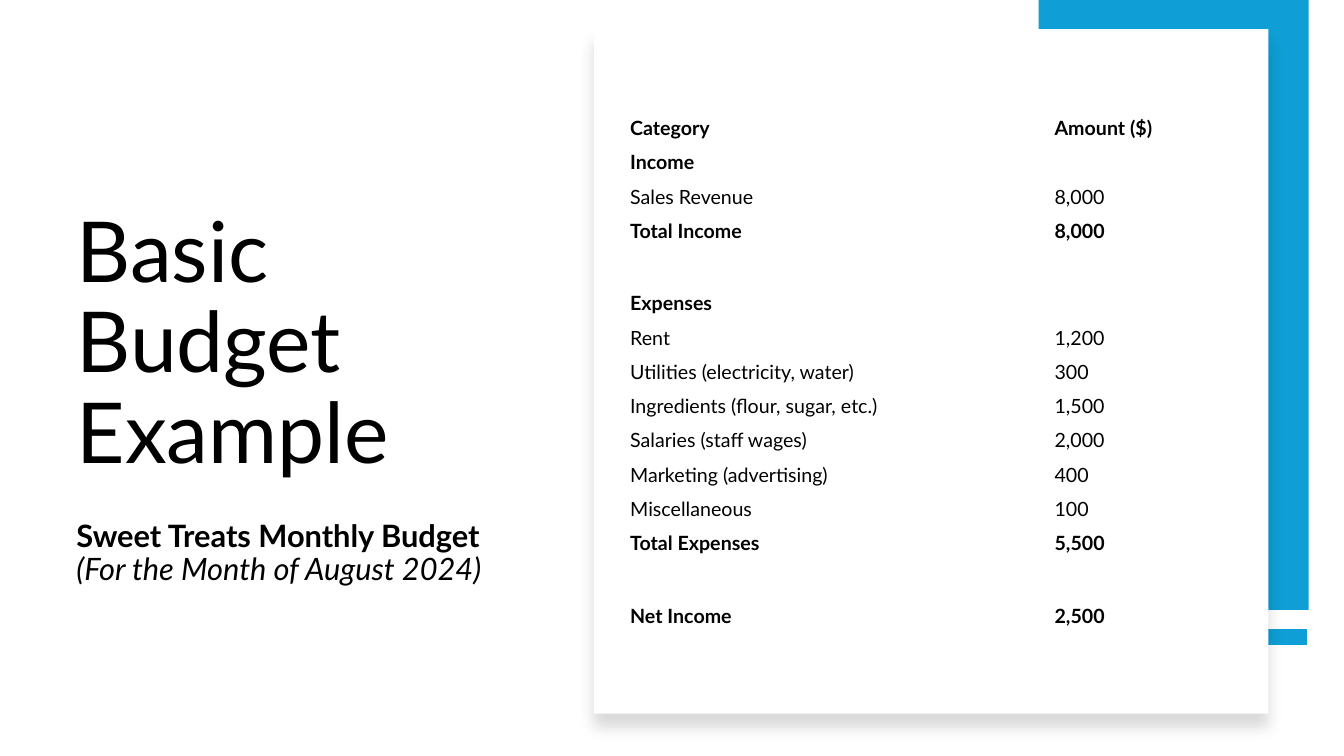
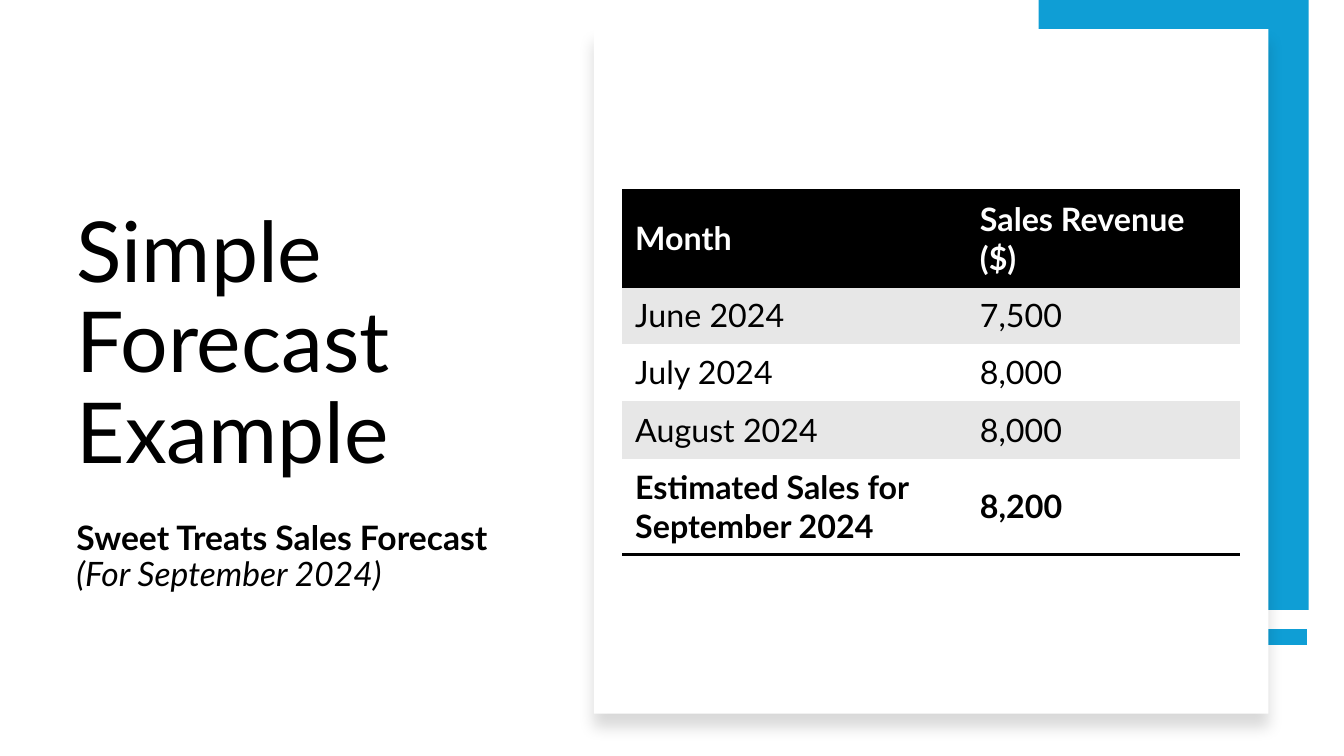
from lxml import etree
from pptx import Presentation
from pptx.dml.color import RGBColor
from pptx.enum.shapes import MSO_CONNECTOR, MSO_SHAPE
from pptx.enum.text import MSO_ANCHOR, MSO_AUTO_SIZE, PP_ALIGN
from pptx.oxml import parse_xml
from pptx.oxml.ns import nsdecls, qn
from pptx.util import Pt

PX = 9144
FONT = "Lato"
BLACK, WHITE, BLUE, GREY = "000000", "FFFFFF", "0F9ED5", "E7E7E7"
NO_STYLE = "{2D5ABB26-0587-4C30-8999-92F81FD0307C}"
SHADOW = (
    f'<a:effectLst {nsdecls("a")}><a:outerShdw blurRad="139700" dist="127000" dir="5400000" '
    f'algn="t" rotWithShape="0"><a:srgbClr val="{BLACK}"><a:alpha val="15000"/></a:srgbClr>'
    '</a:outerShdw></a:effectLst>'
)


def rgb(color):
    return RGBColor.from_string(color)


def style(p, size, color=BLACK, bold=None):
    p.font.name = FONT
    p.font.size = Pt(size)
    p.font.color.rgb = rgb(color)
    p.font.bold = bold


budget = [
    ("Category", "Amount ($)"),
    ("Income", ""),
    ("Sales Revenue", "8,000"),
    ("Total Income", "8,000"),
    ("", ""),
    ("Expenses", ""),
    ("Rent", "1,200"),
    ("Utilities (electricity, water)", "300"),
    ("Ingredients (flour, sugar, etc.)", "1,500"),
    ("Salaries (staff wages)", "2,000"),
    ("Marketing (advertising)", "400"),
    ("Miscellaneous", "100"),
    ("Total Expenses", "5,500"),
    ("", ""),
    ("Net Income", "2,500"),
]
forecast = [
    ("Month", "Sales Revenue ($)"),
    ("June 2024", "7,500"),
    ("July 2024", "8,000"),
    ("August 2024", "8,000"),
    ("Estimated Sales for September 2024", "8,200"),
]
slides = [
    dict(title="Basic Budget Example", name="Sweet Treats Monthly Budget",
         period="(For the Month of August 2024)", sub_size=22,
         rows=budget, top=110, cols=(421, 192), size=14, inset=(8, 4),
         heights=[34 if label else 38 for label, _ in budget],
         bold={0, 1, 3, 5, 12, 14}, banded=False),
    dict(title="Simple Forecast Example", name="Sweet Treats Sales Forecast",
         period="(For September 2024)", sub_size=24,
         rows=forecast, top=189, cols=(342, 271), size=23, inset=(13, 6),
         heights=[95, 57, 57, 57, 95],
         bold={0, 4}, banded=True),
]

prs = Presentation()
prs.slide_width, prs.slide_height = 1333 * PX, 750 * PX

for d in slides:
    s = prs.slides.add_slide(prs.slide_layouts[5])

    title = s.shapes.title
    title.left, title.top, title.width, title.height = 66 * PX, 74 * PX, 456 * PX, 409 * PX
    tf = title.text_frame
    tf.text = d["title"]
    tf.auto_size = MSO_AUTO_SIZE.NONE
    tf.vertical_anchor = MSO_ANCHOR.BOTTOM
    p = tf.paragraphs[0]
    p.alignment = PP_ALIGN.LEFT
    p.line_spacing = 0.9
    style(p, 60)

    subtitle = s.shapes.add_textbox(66 * PX, 512 * PX, 456 * PX, 113 * PX)
    tf = subtitle.text_frame
    tf.word_wrap = True
    p = tf.paragraphs[0]
    p.line_spacing = 0.9
    style(p, d["sub_size"])
    r = p.add_run()
    r.text = d["name"]
    r.font.bold = True
    p.add_line_break()
    r = p.add_run()
    r.text = d["period"]
    r.font.italic = True

    rule = s.shapes.add_connector(MSO_CONNECTOR.STRAIGHT, 1296 * PX, 632 * PX, 1030 * PX, 632 * PX)
    rule.line.color.rgb = rgb(BLUE)
    rule.line.width = Pt(12)
    etree.SubElement(rule._element.spPr, qn("a:effectLst"))

    for color, x, y, w, h in ((BLUE, 1030, 0, 268, 605), (WHITE, 589, 29, 669, 679)):
        panel = s.shapes.add_shape(MSO_SHAPE.RECTANGLE, x * PX, y * PX, w * PX, h * PX)
        panel.fill.solid()
        panel.fill.fore_color.rgb = rgb(color)
        panel.line.fill.background()
        if color == WHITE:
            panel._element.spPr.append(parse_xml(SHADOW))
        else:
            panel.shadow.inherit = False

    rows = d["rows"]
    frame = s.shapes.add_table(len(rows), 2, 617 * PX, d["top"] * PX,
                               sum(d["cols"]) * PX, sum(d["heights"]) * PX)
    table = frame.table
    table.horz_banding = False
    table.first_row = d["banded"]
    frame._element.find(".//" + qn("a:tableStyleId")).text = NO_STYLE
    for col, width in zip(table.columns, d["cols"]):
        col.width = width * PX
    for i, texts in enumerate(rows):
        table.rows[i].height = d["heights"][i] * PX
        header = d["banded"] and i == 0
        for j, text in enumerate(texts):
            cell = table.cell(i, j)
            cell.vertical_anchor = MSO_ANCHOR.MIDDLE
            cell.margin_left = cell.margin_right = d["inset"][0] * PX
            cell.margin_top = cell.margin_bottom = d["inset"][1] * PX
            cell.text = text
            style(cell.text_frame.paragraphs[0], d["size"], WHITE if header else BLACK, i in d["bold"])
            if not d["banded"]:
                cell.fill.background()
                continue
            cell.fill.solid()
            cell.fill.fore_color.rgb = rgb(BLACK if header else GREY if i % 2 else WHITE)
            sides = "TB" if header else "B" if i == len(rows) - 1 else ""
            for k, side in enumerate(sides):
                border = parse_xml(
                    f'<a:ln{side} {nsdecls("a")} w="25400"><a:solidFill>'
                    f'<a:srgbClr val="{BLACK}"/></a:solidFill></a:ln{side}>')
                cell._tc.tcPr.insert(k, border)

prs.save("out.pptx")
